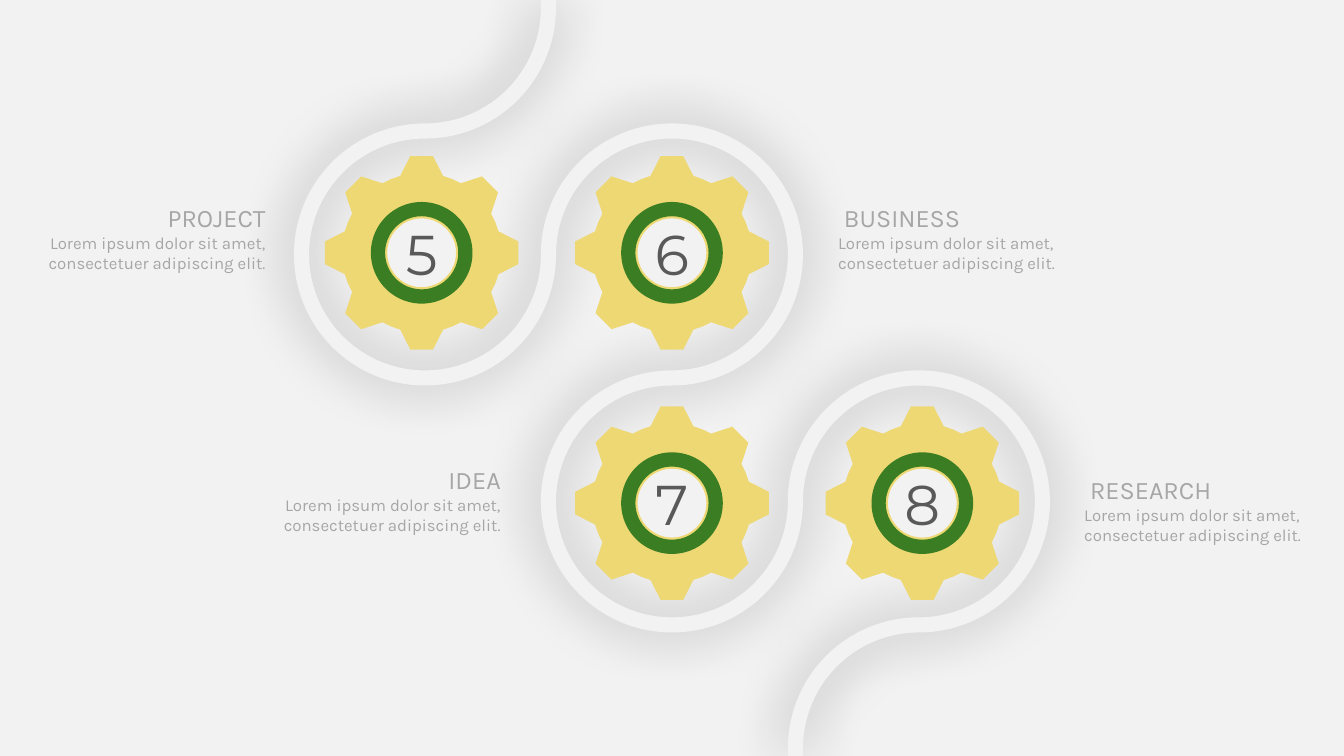
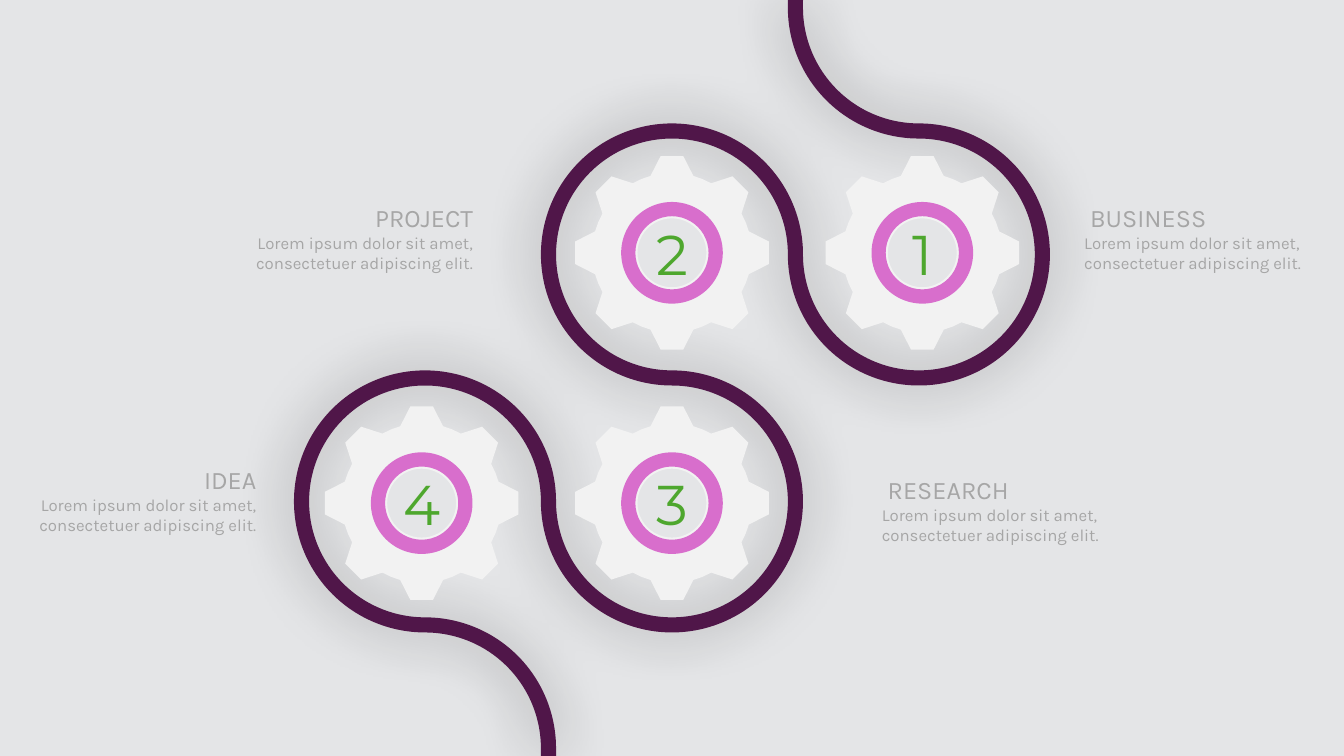
import math

from lxml import etree
from pptx import Presentation
from pptx import util as u
from pptx.dml import color
from pptx.enum import shapes, text
from pptx.oxml import ns

COLUMNS, ROWS = 16, 9
CELL = u.Inches(13.333) / COLUMNS
MIDDLE_X, MIDDLE_Y = COLUMNS / 2, ROWS / 2
GEAR_PITCH, GEAR_TIP, GEAR_ROOT, GEAR_HOLE = 2.98, 1.16, 0.95, 0.41
RING_SIZE, RING_BAND = 1.21, 0.14
BEND_RADIUS, RIBBON_WIDTH = 1.47, 0.18
LABEL_WIDTH, LABEL_HEIGHT = 3, 1.2
BODY = "Lorem ipsum dolor sit amet, consectetuer adipiscing elit."
GEAR_CELLS = [(-1, 0), (0, 0), (0, 1), (1, 1)]
BENDS = [(-1, -1, 0, 90), (-1, 0, 270, 0), (0, 0, 180, 450),
         (0, 1, 270, 0), (1, 1, 180, 450), (1, 2, 270, 180)]

PAGES = [
    {"side": 1, "numbers": "5678",
     "colours": {"back": "F2F2F2", "ribbon": "F2F2F2", "gear": "EDD874",
                 "ring": "3B7D23", "number": "595959"},
     "labels": [("PROJECT", 0.28, 2.35, "right"), ("IDEA", 3.08, 5.47, "right"),
                ("BUSINESS", 9.86, 2.35, "left"), ("RESEARCH", 12.79, 5.59, "left")]},
    {"side": -1, "numbers": "1234",
     "colours": {"back": "E4E5E7", "ribbon": "501649", "gear": "F2F2F2",
                 "ring": "D86ECC", "number": "4EA72E"},
     "labels": [("PROJECT", 2.75, 2.35, "right"), ("IDEA", 0.17, 5.47, "right"),
                ("BUSINESS", 12.79, 2.35, "left"), ("RESEARCH", 10.38, 5.59, "left")]},
]


def rgb(value):
    return color.RGBColor.from_string(value)


def grid(length):
    return u.Emu(round(length * CELL))


def polar(x, y, radius, degrees):
    angle = math.radians(degrees)
    return x + radius * math.cos(angle), y + radius * math.sin(angle)


def quarters(x, y, radius, first, last):
    sweep = 90 if last > first else -90
    return [(polar(x, y, radius, first), None)] + [
        (polar(x, y, radius, start + sweep), (radius, start, sweep))
        for start in range(first, last, sweep)]


class Infographic:
    label_format = {"name": "Karla", "colour": "A6A6A6"}
    aligns = {"left": text.PP_ALIGN.LEFT, "right": text.PP_ALIGN.RIGHT,
              "center": text.PP_ALIGN.CENTER}

    def __init__(self):
        self.deck = Presentation()
        self.deck.slide_width = grid(COLUMNS)
        self.deck.slide_height = grid(ROWS)

    def start_page(self, colours, side):
        self.page = self.deck.slides.add_slide(self.deck.slide_layouts[6])
        self.colours, self.side = colours, side
        fill = self.page.background.fill
        fill.solid()
        fill.fore_color.rgb = rgb(colours["back"])

    def paint(self, shape, role):
        shape.shadow.inherit = False
        shape.fill.solid()
        shape.fill.fore_color.rgb = rgb(self.colours[role])
        shape.line.fill.background()
        return shape

    def outline(self, contours, role):
        builder, curves = None, []
        for contour in contours:
            points = [(grid(x), grid(y)) for (x, y), _ in contour]
            if builder is None:
                builder = self.page.shapes.build_freeform(*points[0], scale=1.0)
            else:
                builder.move_to(*points[0])
            builder.add_line_segments(points[1:], close=True)
            curves += [curve for _, curve in contour[1:]]
        shape = builder.convert_to_shape()
        lines = list(shape._element.iter(ns.qn("a:lnTo")))
        for line, curve in zip(lines, curves):
            if curve:
                radius, start, sweep = curve
                values = {"wR": grid(radius), "hR": grid(radius),
                          "stAng": start % 360 * 60000, "swAng": sweep * 60000}
                arc = etree.Element(ns.qn("a:arcTo"))
                for key, value in values.items():
                    arc.set(key, str(int(value)))
                line.getparent().replace(line, arc)
        return self.paint(shape, role)

    def ribbon_edge(self, offset, backwards):
        edge = []
        for column, row, first, last in BENDS[::-1] if backwards else BENDS:
            radius = BEND_RADIUS + (offset if last > first else -offset)
            x = MIDDLE_X + self.side * 2 * BEND_RADIUS * column
            y = MIDDLE_Y + 2 * BEND_RADIUS * (row - 0.5)
            if backwards:
                first, last = last, first
            if self.side < 0:
                first, last = 180 - first, 180 - last
            edge += quarters(x, y, radius, first, last)
        top, bottom = (ROWS, 0) if backwards else (0, ROWS)
        return [((edge[0][0][0], top), None), *edge, ((edge[-1][0][0], bottom), None)]

    def ribbon(self):
        half = RIBBON_WIDTH / 2
        edge = self.ribbon_edge(half, False) + self.ribbon_edge(-half, True)
        band = self.outline([edge], "ribbon")
        effects = band._element.spPr.find(ns.qn("a:effectLst"))
        shadow = etree.SubElement(effects, ns.qn("a:outerShdw"),
                                  blurRad=str(int(u.Pt(40))), dist="0", dir="0",
                                  algn="ctr", rotWithShape="0")
        tint = etree.SubElement(shadow, ns.qn("a:srgbClr"), val="000000")
        etree.SubElement(tint, ns.qn("a:alpha"), val="35000")

    def gear(self, x, y):
        tooth = [(GEAR_ROOT, -15.6), (GEAR_TIP, -6.65), (GEAR_TIP, 6.65),
                 (GEAR_ROOT, 15.6), (GEAR_ROOT, 22.5)]
        rim = [(polar(x, y, radius, 45 * step + degrees), None)
               for step in range(8) for radius, degrees in tooth]
        self.outline([rim, quarters(x, y, GEAR_HOLE, 360, 0)], "gear")

    def ring(self, x, y):
        corner = [grid(value - RING_SIZE / 2) for value in (x, y)]
        donut = self.page.shapes.add_shape(shapes.MSO_SHAPE.DONUT, *corner,
                                           grid(RING_SIZE), grid(RING_SIZE))
        donut.adjustments[0] = RING_BAND
        self.paint(donut, "ring")

    def text_box(self, left, top, width, height, lines, align, style):
        box = self.page.shapes.add_textbox(*map(grid, (left, top, width, height)))
        frame = box.text_frame
        frame.word_wrap = True
        frame.auto_size = text.MSO_AUTO_SIZE.SHAPE_TO_FIT_TEXT
        for index, (words, size) in enumerate(lines):
            para = frame.add_paragraph() if index else frame.paragraphs[0]
            para.alignment = self.aligns[align]
            span = para.add_run()
            span.text = words
            for key, value in {"name": style["name"], "size": u.Pt(size)}.items():
                setattr(span.font, key, value)
            span.font.color.rgb = rgb(style["colour"])
        return frame

    def number(self, x, y, digit):
        width, height = 1.06, 0.92
        self.text_box(x - width / 2, y - height / 2, width, height, [(digit, 40)],
                      "center", {"name": "Montserrat", "colour": self.colours["number"]})

    def label(self, heading, left, top, align):
        frame = self.text_box(left, top, LABEL_WIDTH, LABEL_HEIGHT,
                              [(heading, 18), (BODY, 12)], align, self.label_format)
        if align == "left":
            properties = frame.paragraphs[0]._p.get_or_add_pPr()
            properties.set("marL", str(int(grid(0.07))))

    def stations(self, numbers):
        spots = [(MIDDLE_X + self.side * column * GEAR_PITCH,
                  MIDDLE_Y + (row - 0.5) * GEAR_PITCH) for column, row in GEAR_CELLS]
        for draw in (self.gear, self.ring):
            for spot in spots:
                draw(*spot)
        for spot, digit in zip(spots, numbers):
            self.number(*spot, digit)


def main():
    graphic = Infographic()
    for content in PAGES:
        graphic.start_page(content["colours"], content["side"])
        graphic.ribbon()
        graphic.stations(content["numbers"])
        for label in content["labels"]:
            graphic.label(*label)
    graphic.deck.save("out.pptx")


if __name__ == "__main__":
    main()
